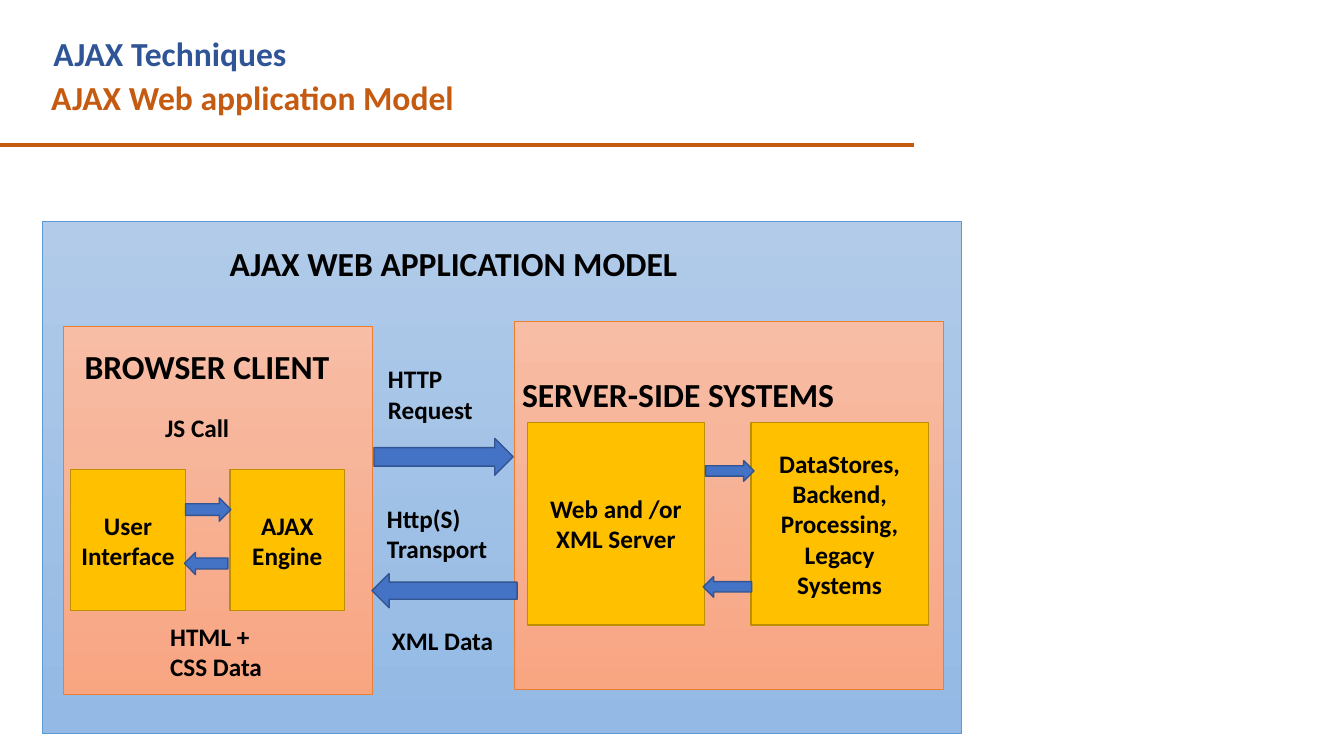
from lxml import etree
from pptx import Presentation
from pptx.dml.color import RGBColor
from pptx.enum import shapes, text
from pptx.oxml.ns import qn
from pptx.util import Pt

ORANGE, BLACK = "C55A11", "000000"
RECT = shapes.MSO_SHAPE.RECTANGLE
RIGHT, LEFT = shapes.MSO_SHAPE.RIGHT_ARROW, shapes.MSO_SHAPE.LEFT_ARROW


def rgb(color):
    return RGBColor.from_string(color)


def write(frame, words, size, color, align, anchor):
    frame.word_wrap = True
    frame.vertical_anchor = anchor
    paragraph = frame.paragraphs[0]
    paragraph.alignment = align
    run = paragraph.add_run()
    run.text = words
    run.font.name, run.font.size, run.font.bold = "Calibri", Pt(size), True
    run.font.color.rgb = rgb(color)


deck = Presentation()
deck.slide_width, deck.slide_height = Pt(960), Pt(540)
slide = deck.slides.add_slide(deck.slide_layouts[5])

# Heading
heading = slide.shapes.title
heading.left, heading.top, heading.width, heading.height = Pt(31), Pt(20.2), Pt(590), Pt(36)
heading.text_frame.auto_size = text.MSO_AUTO_SIZE.NONE
write(heading.text_frame, "AJAX Techniques", 24, "2F5597",
      text.PP_ALIGN.LEFT, text.MSO_ANCHOR.TOP)

rule = slide.shapes.add_connector(
    shapes.MSO_CONNECTOR.STRAIGHT, Pt(0), Pt(103.7), Pt(653), Pt(103.7))
rule.line.color.rgb = rgb(ORANGE)
rule.line.width = Pt(3)
etree.SubElement(rule._element.spPr, qn("a:effectLst"))

# Model background, browser panel and server panel
BLUES = ("B1CBE9", "93B9E4", "5B9BD5")
SALMONS = ("F7BDA5", "F8A582", "ED7D31")
for x, y, width, height, (upper, lower, edge) in [
    (30.2, 158.4, 656.6, 365.8, BLUES),
    (45, 233, 221, 263, SALMONS),
    (367.2, 229.7, 306.7, 262.8, SALMONS),
]:
    panel = slide.shapes.add_shape(RECT, Pt(x), Pt(y), Pt(width), Pt(height))
    panel.shadow.inherit = False
    panel.fill.gradient()
    panel.fill.gradient_angle = 270
    for stop, color in zip(panel.fill.gradient_stops, (upper, lower)):
        stop.color.rgb = rgb(color)
    panel.line.color.rgb = rgb(edge)
    panel.line.width = Pt(0.5)

# Components: a pair in each panel
for x, y, width, height, words in [
    (50.4, 335.5, 82, 100.8, "User Interface"),
    (164.2, 335.5, 82, 100.8, "AJAX Engine"),
    (376.6, 301.7, 126.7, 144.7, "Web and /or XML Server"),
    (536.4, 301.7, 126.7, 144.7, "DataStores, Backend, Processing, Legacy Systems"),
]:
    component = slide.shapes.add_shape(RECT, Pt(x), Pt(y), Pt(width), Pt(height))
    component.shadow.inherit = False
    component.fill.solid()
    component.fill.fore_color.rgb = rgb("FFC000")
    component.line.color.rgb = rgb("BD8E00")
    component.line.width = Pt(1)
    write(component.text_frame, words, 18, BLACK,
          text.PP_ALIGN.CENTER, text.MSO_ANCHOR.MIDDLE)

# Request and response arrows
for direction, x, y, width, height in [
    (RIGHT, 267.1, 313.2, 99.4, 26.3),
    (LEFT, 265.7, 409.7, 103.7, 24.5),
    (RIGHT, 504, 329, 34.6, 14.8),
    (LEFT, 502.3, 411.8, 34.6, 14.8),
    (RIGHT, 132.5, 355.7, 32.4, 16.6),
    (LEFT, 131.8, 394.6, 31, 15.8),
]:
    arrow = slide.shapes.add_shape(direction, Pt(x), Pt(y), Pt(width), Pt(height))
    arrow.shadow.inherit = False
    arrow.fill.solid()
    arrow.fill.fore_color.rgb = rgb("4472C4")
    arrow.line.color.rgb = rgb("325491")
    arrow.line.width = Pt(1)

# Subheading, panel titles and flow labels
for x, y, width, height, words, size, color in [
    (29.5, 51.1, 630, 36, "AJAX Web application Model", 24, ORANGE),
    (157, 170, 416, 36, "AJAX WEB APPLICATION MODEL", 24, BLACK),
    (53.3, 243.4, 193.7, 36, "BROWSER CLIENT", 24, BLACK),
    (365.8, 263.5, 293, 36, "SERVER-SIDE SYSTEMS", 24, BLACK),
    (110.9, 290.9, 89.3, 28.8, "JS Call", 18, BLACK),
    (114.5, 440, 89.3, 51, "HTML + CSS Data", 18, BLACK),
    (270, 256.3, 89.3, 51, "HTTP Request", 18, BLACK),
    (269.3, 355.7, 89.3, 51, "Http(S) Transport", 18, BLACK),
    (272.9, 442.8, 89.3, 28.8, "XML Data", 18, BLACK),
]:
    label = slide.shapes.add_textbox(Pt(x), Pt(y), Pt(width), Pt(height))
    write(label.text_frame, words, size, color,
          text.PP_ALIGN.LEFT, text.MSO_ANCHOR.TOP)

deck.save("out.pptx")
